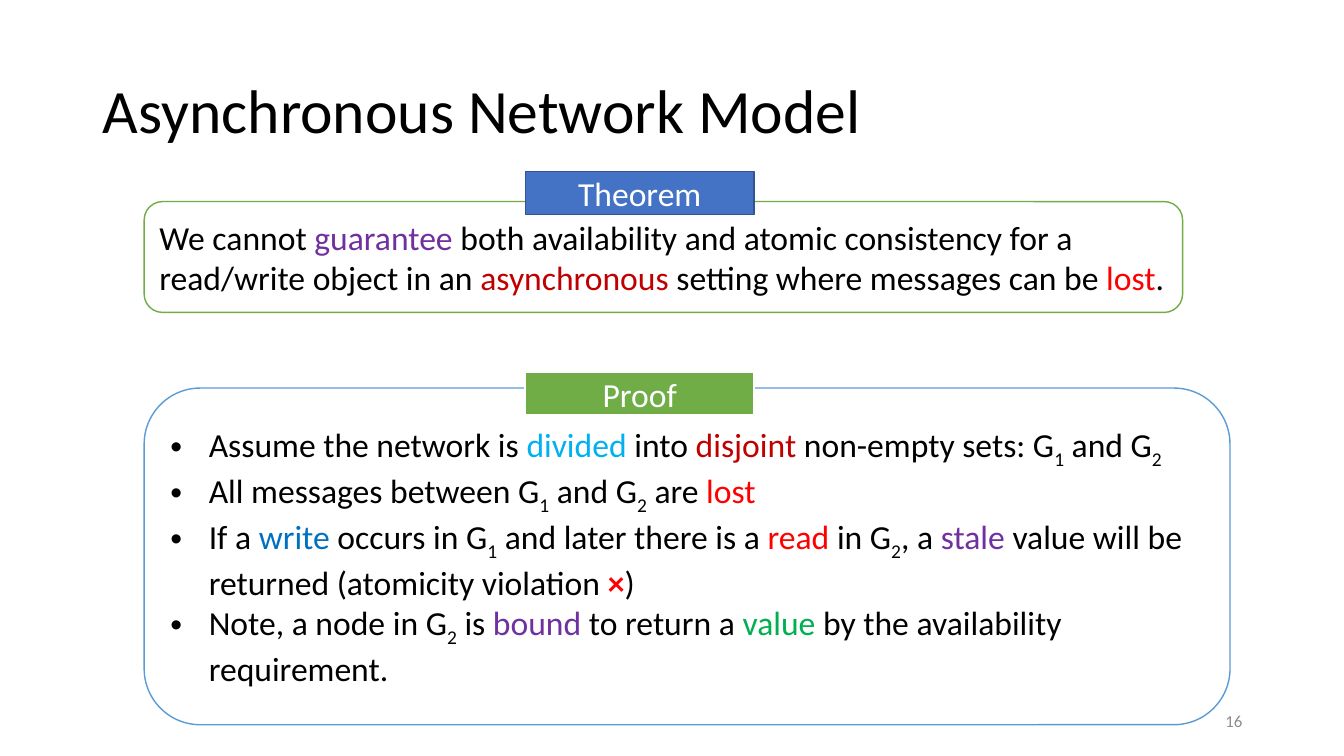
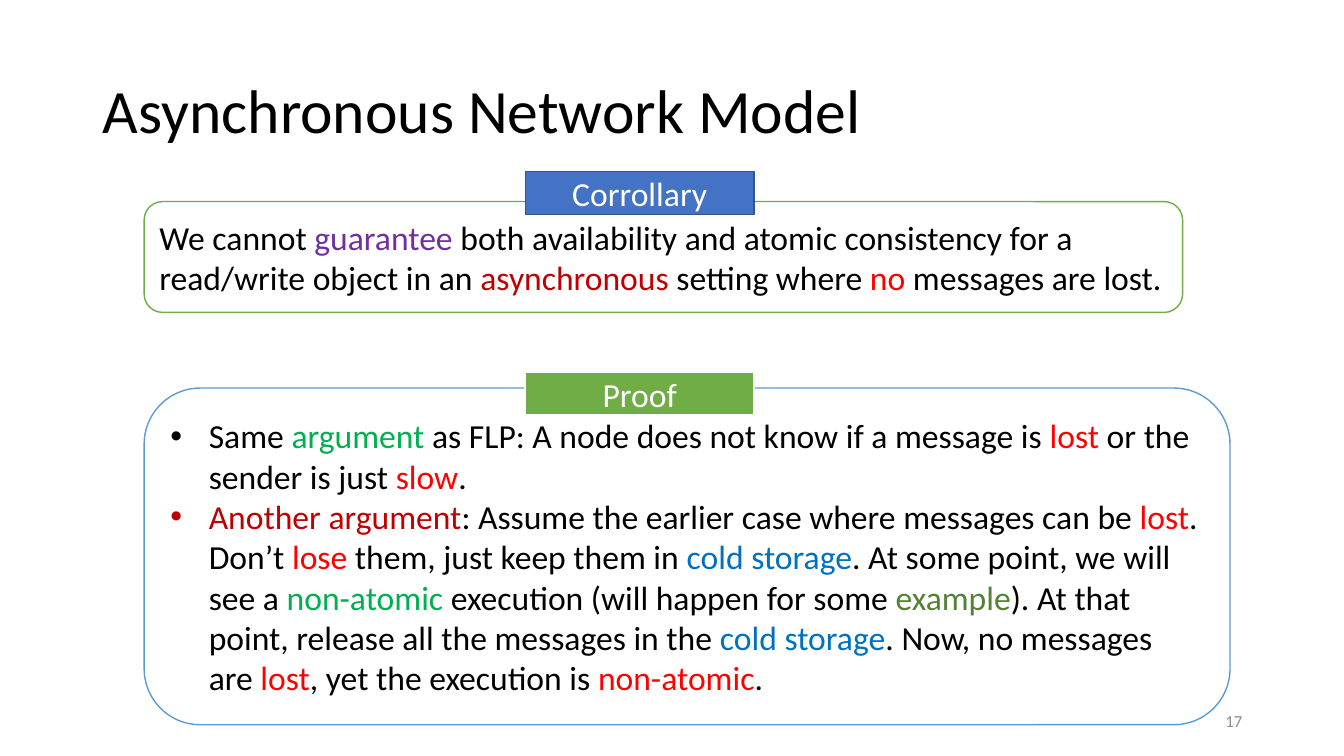
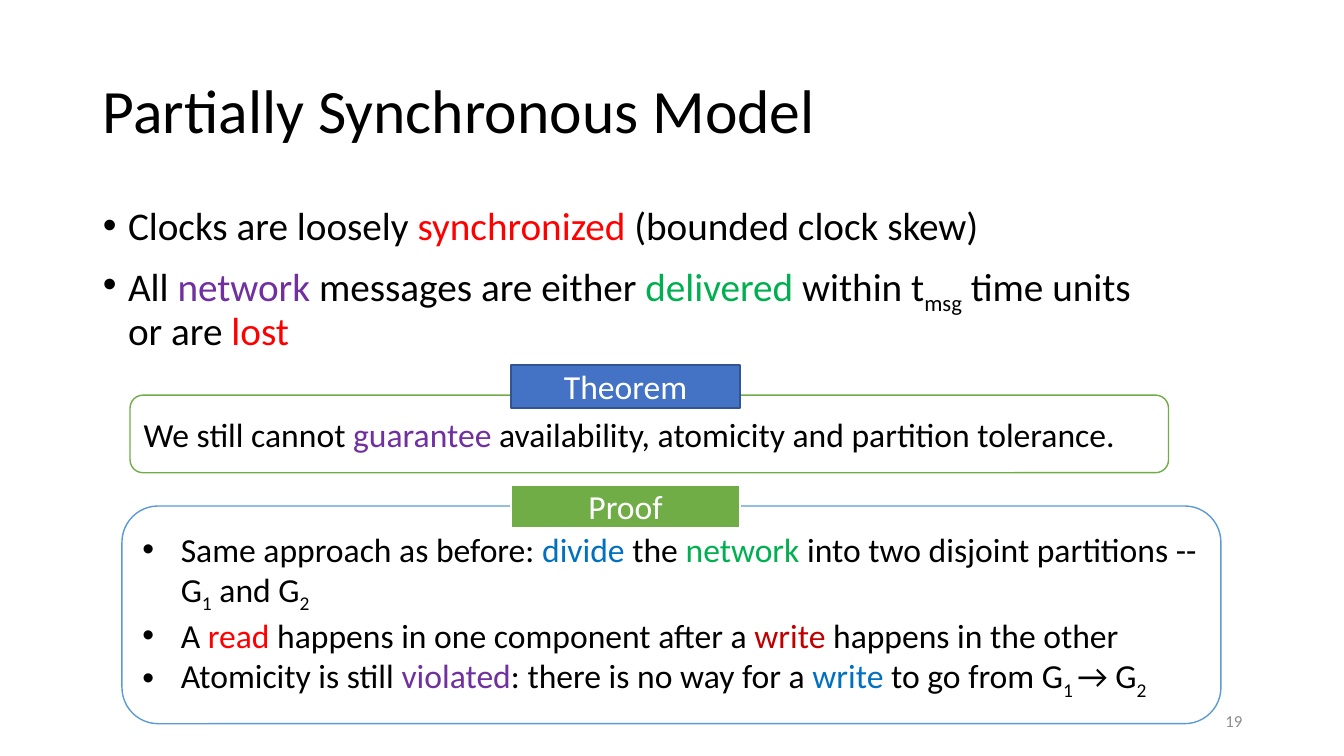
from pptx import Presentation
from pptx.dml.color import RGBColor
from pptx.enum.shapes import MSO_SHAPE as Preset
from pptx.enum.text import MSO_ANCHOR as Anchor, MSO_AUTO_SIZE as AutoSize, PP_ALIGN as Align
from pptx.oxml.ns import qn
from pptx.util import Inches, Pt
from lxml.etree import SubElement

FONT = "Calibri"
TITLE_AND_BODY, TITLE_ONLY = 1, 5
COLORS = {
    "black": "000000", "white": "FFFFFF", "grey": "8C8C8C",
    "purple": "7030A0", "crimson": "C00000", "red": "FF0000",
    "sky": "00B0F0", "blue": "0070C0", "emerald": "00B050", "olive": "548235",
    "statement line": "70AD47", "statement tag": "4472C4", "statement tag line": "325491",
    "proof line": "5B9BD5", "proof tag": "70AD47",
}

# Left, top, width, height in inches
TITLE_AREA = (0.92, 0.4, 11.5, 1.45)
BODY_AREA = (0.92, 2, 10.66, 1.59)
NUMBER_AREA = (9.42, 6.95, 3, 0.4)
TAG_SIZE = (2.27, 0.43)
TAG_INDENT = 3.78
STATEMENT_TAG_RISE = 0.3

HIGH_LAYOUT = {"statement": (1.43, 2, 10.3, 1.1),
               "proof": (1.43, 3.85, 10.77, 3.34), "proof tag top": 3.69}
LOW_LAYOUT = {"statement": (1.29, 3.92, 10.3, 0.77),
              "proof": (1.21, 5.02, 10.9, 2.16), "proof tag top": 4.81}

# A paragraph is a list of runs: plain text, or (text, style).
# A style is a colour name, "sub" for a subscript, or "cross" for a bold red sign.
SLIDES = [
    {
        "title": "Asynchronous Network Model", "number": 16, "layout": HIGH_LAYOUT,
        "body": [],
        "tag": "Theorem",
        "statement": [
            "We cannot ", ("guarantee", "purple"),
            " both availability and atomic consistency for a read/write object in an ",
            ("asynchronous", "crimson"), " setting where messages can be ", ("lost", "red"), "."],
        "proof": [
            ["Assume the network is ", ("divided", "sky"), " into ", ("disjoint", "crimson"),
             " non-empty sets: G", ("1", "sub"), " and G", ("2", "sub")],
            ["All messages between G", ("1", "sub"), " and G", ("2", "sub"), " are ",
             ("lost", "red")],
            ["If a ", ("write", "blue"), " occurs in G", ("1", "sub"),
             " and later there is a ", ("read", "red"), " in G", ("2", "sub"), ", a ",
             ("stale", "purple"), " value will be returned (atomicity violation ",
             ("×", "cross"), ")"],
            ["Note, a node in G", ("2", "sub"), " is ", ("bound", "purple"), " to return a ",
             ("value", "emerald"), " by the availability requirement."],
        ],
    },
    {
        "title": "Asynchronous Network Model", "number": 17, "layout": HIGH_LAYOUT,
        "body": [],
        "tag": "Corrollary",
        "statement": [
            "We cannot ", ("guarantee", "purple"),
            " both availability and atomic consistency for a read/write object in an ",
            ("asynchronous", "crimson"), " setting where ", ("no", "red"),
            " messages are lost."],
        "proof": [
            ["Same ", ("argument", "emerald"),
             " as FLP: A node does not know if a message is ", ("lost", "red"),
             " or the sender is just ", ("slow", "red"), "."],
            [("Another argument", "crimson"),
             ": Assume the earlier case where messages can be ", ("lost", "red"), ". Don’t ",
             ("lose", "red"), " them, just keep them in ", ("cold storage", "blue"),
             ". At some point, we will see a ", ("non-atomic", "emerald"),
             " execution (will happen for some ", ("example", "olive"),
             "). At that point, release all the messages in the ", ("cold storage", "blue"),
             ". Now, no messages are ", ("lost", "red"), ", yet the execution is ",
             ("non-atomic", "red"), "."],
        ],
    },
    {
        "title": "Partially Synchronous Model", "number": 19, "layout": LOW_LAYOUT,
        "body": [
            ["Clocks are loosely ", ("synchronized", "red"), " (bounded clock skew)"],
            ["All ", ("network", "purple"), " messages are either ", ("delivered", "emerald"),
             " within t", ("msg", "sub"), " time units or are ", ("lost", "red")],
        ],
        "tag": "Theorem",
        "statement": [
            "We still cannot ", ("guarantee", "purple"),
            " availability, atomicity and partition tolerance."],
        "proof": [
            ["Same approach as before: ", ("divide", "blue"), " the ", ("network", "emerald"),
             " into two disjoint partitions -- G", ("1", "sub"), " and G", ("2", "sub")],
            ["A ", ("read", "red"), " happens in one component after a ", ("write", "crimson"),
             " happens in the other"],
            ["Atomicity is still ", ("violated", "purple"), ": there is no way for a ",
             ("write", "blue"), " to go from G", ("1 ", "sub"), "→ G", ("2", "sub")],
        ],
    },
]


def color(name):
    return RGBColor.from_string(COLORS[name])


def place(shape, area):
    shape.left, shape.top, shape.width, shape.height = map(Inches, area)


def add_run(paragraph, piece, size, base_color):
    text, style = (piece, None) if isinstance(piece, str) else piece
    run = paragraph.add_run()
    run.text = text
    font = run.font
    font.name, font.size = FONT, Pt(size)
    font.color.rgb = color({None: base_color, "sub": base_color, "cross": "red"}.get(style, style))
    if style == "cross":
        font.bold = True
    if style == "sub":
        run._r.get_or_add_rPr().set("baseline", "-25000")


def add_bullet(paragraph, indent):
    properties = paragraph._p.get_or_add_pPr()
    properties.set("marL", str(Inches(indent)))
    properties.set("indent", str(-Inches(indent)))
    SubElement(properties, qn("a:buFont")).set("typeface", "Arial")
    SubElement(properties, qn("a:buChar")).set("char", "•")


def write(shape, paragraphs, size, base_color="black", align=Align.LEFT,
          anchor=Anchor.MIDDLE, indent=0, line_spacing=1.0, gap=0):
    """Fill a shape with paragraphs; a positive indent makes them bullets."""
    frame = shape.text_frame
    frame.word_wrap, frame.auto_size = True, AutoSize.NONE
    frame.vertical_anchor = anchor
    for index, pieces in enumerate(paragraphs):
        paragraph = frame.add_paragraph() if index else frame.paragraphs[0]
        if indent:
            add_bullet(paragraph, indent)
        paragraph.alignment = align
        paragraph.line_spacing = line_spacing
        paragraph.space_before = Pt(gap if index else 0)
        for piece in pieces:
            add_run(paragraph, piece, size, base_color)


def add_box(slide, preset, area, fill, line, line_width=1):
    box = slide.shapes.add_shape(preset, *map(Inches, area))
    box.shadow.inherit = False
    box.fill.solid()
    box.fill.fore_color.rgb = color(fill)
    box.line.color.rgb = color(line)
    box.line.width = Pt(line_width)
    return box


def add_panel(slide, area, line, paragraphs, indent=0):
    panel = add_box(slide, Preset.ROUNDED_RECTANGLE, area, "white", line)
    write(panel, paragraphs, 24, indent=indent)


def add_tag(slide, label, left, top, fill, line, line_width=1):
    tag = add_box(slide, Preset.RECTANGLE, (left, top, *TAG_SIZE), fill, line, line_width)
    write(tag, [[label]], 24, "white", Align.CENTER)


def add_slide(presentation, content):
    layout_index = TITLE_AND_BODY if content["body"] else TITLE_ONLY
    slide = presentation.slides.add_slide(presentation.slide_layouts[layout_index])
    place(slide.shapes.title, TITLE_AREA)
    write(slide.shapes.title, [[content["title"]]], 44, line_spacing=0.9)
    if content["body"]:
        body = slide.placeholders[1]
        place(body, BODY_AREA)
        write(body, content["body"], 28, anchor=Anchor.TOP, indent=0.25,
              line_spacing=0.9, gap=10)

    layout = content["layout"]
    left, top = layout["statement"][:2]
    tag_left = left + TAG_INDENT
    add_panel(slide, layout["statement"], "statement line", [content["statement"]])
    add_tag(slide, content["tag"], tag_left, top - STATEMENT_TAG_RISE,
            "statement tag", "statement tag line")
    add_panel(slide, layout["proof"], "proof line", content["proof"], indent=0.38)
    add_tag(slide, "Proof", tag_left, layout["proof tag top"], "proof tag", "white", 1.5)

    number = slide.shapes.add_textbox(*map(Inches, NUMBER_AREA))
    write(number, [[str(content["number"])]], 12, "grey", Align.RIGHT)


def main():
    presentation = Presentation()
    presentation.slide_width, presentation.slide_height = Inches(13.33), Inches(7.5)
    for content in SLIDES:
        add_slide(presentation, content)
    presentation.save("out.pptx")


if __name__ == "__main__":
    main()
